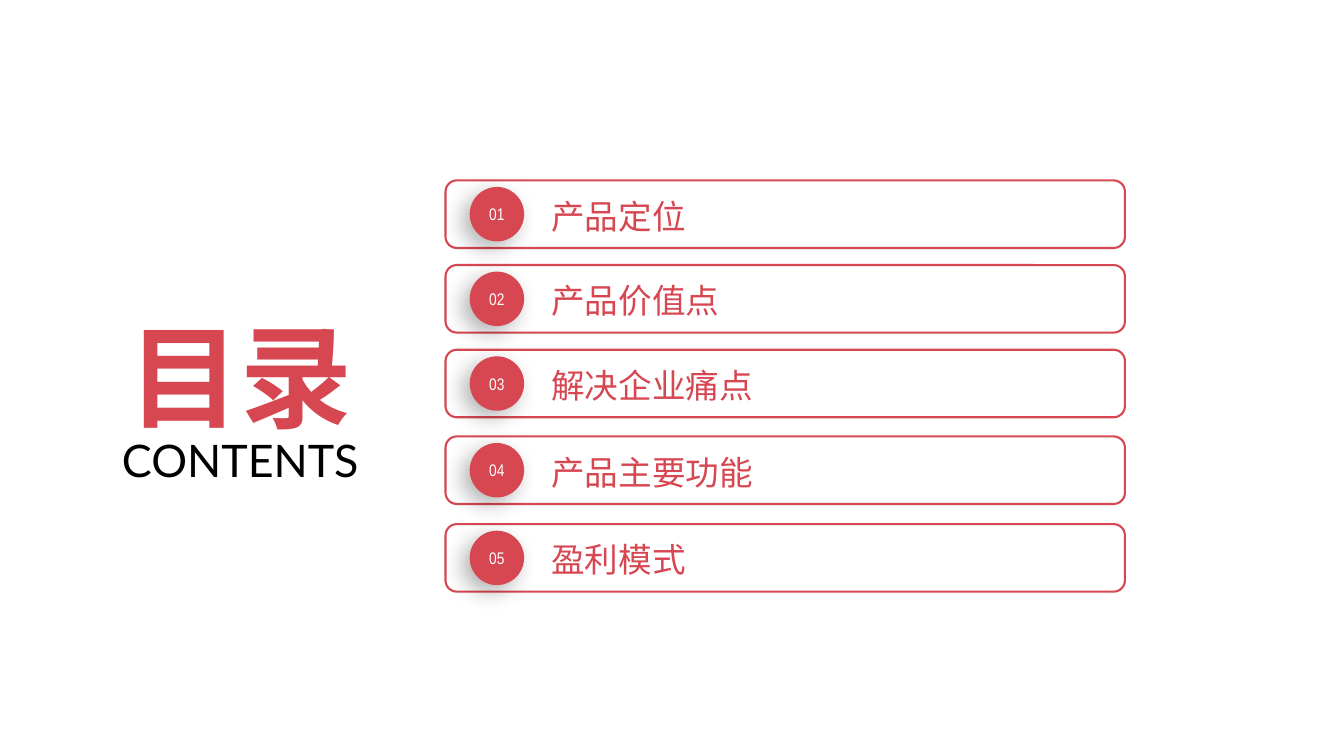
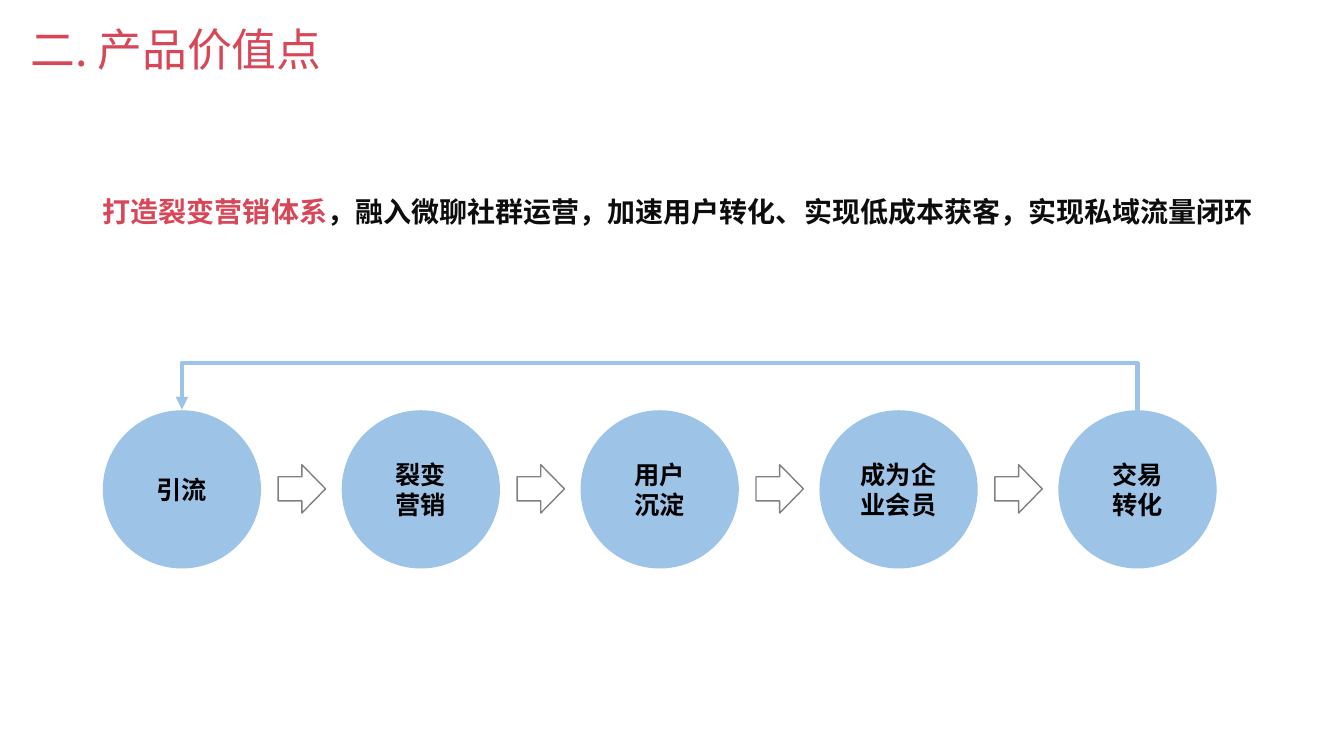
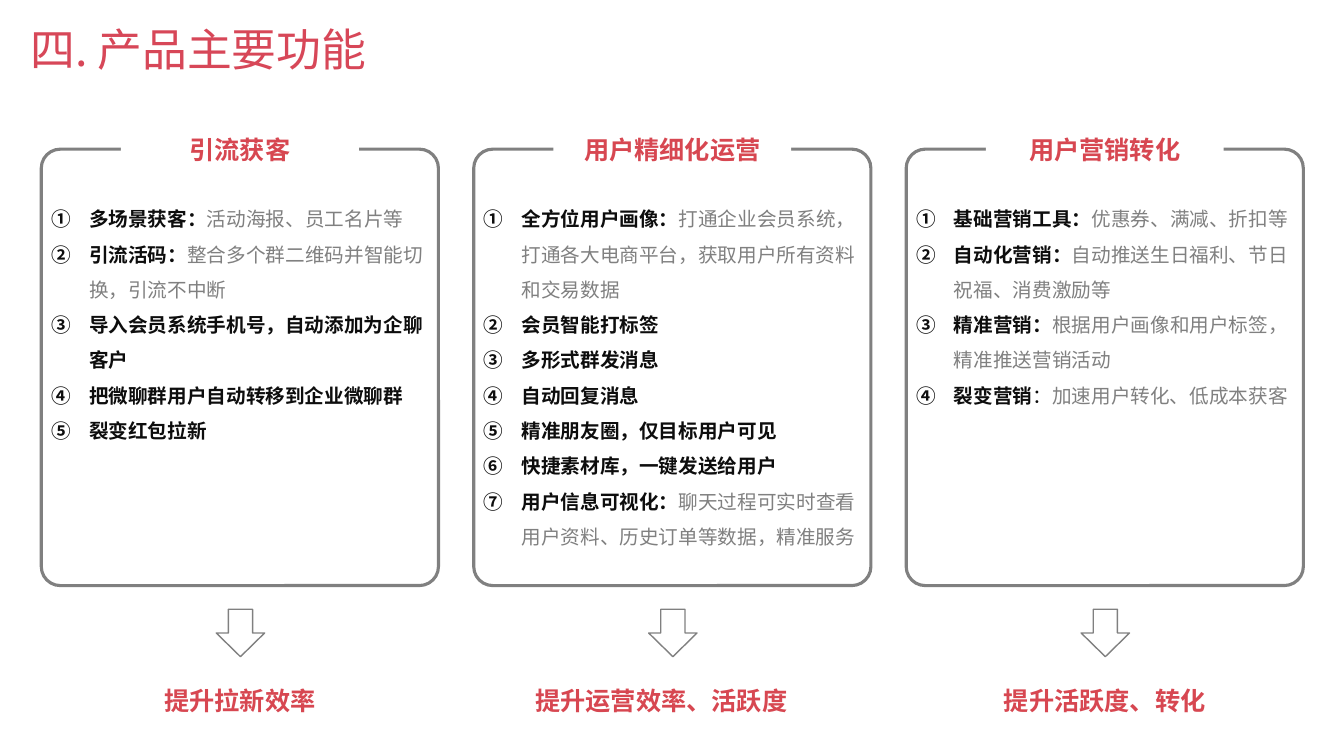
from lxml import etree
from pptx import Presentation
from pptx.dml.color import RGBColor
from pptx.enum.shapes import MSO_CONNECTOR, MSO_SHAPE
from pptx.enum.text import MSO_ANCHOR, MSO_AUTO_SIZE, PP_ALIGN
from pptx.oxml.ns import qn
from pptx.util import Inches, Pt

ROUNDED = MSO_SHAPE.ROUNDED_RECTANGLE
RECTANGLE = MSO_SHAPE.RECTANGLE
OVAL = MSO_SHAPE.OVAL
ARROW = MSO_SHAPE.RIGHT_ARROW
ELBOW = MSO_CONNECTOR.ELBOW
LEFT, CENTER = PP_ALIGN.LEFT, PP_ALIGN.CENTER
TOP, MIDDLE, BOTTOM = MSO_ANCHOR.TOP, MSO_ANCHOR.MIDDLE, MSO_ANCHOR.BOTTOM
GROW, FIXED = MSO_AUTO_SIZE.SHAPE_TO_FIT_TEXT, MSO_AUTO_SIZE.NONE

CELL = Inches(0.1)
COLUMNS, ROWS = 133.33, 75
HAN, LATIN, NARROW = "Noto Sans CJK SC", "Lato", "Arial Narrow"
RED, TITLE_RED, BLUE = "D74751", "D74758", "9DC3E6"
INK, GREY, BLACK, WHITE = "0D0D0D", "808080", "000000", "FFFFFF"
LINE_HEIGHT = 1.2


def cells(count):
    """Turn a number of grid cells into a length."""
    return round(count * CELL)


def colour_of(value):
    """Turn a hex string into a colour."""
    return RGBColor.from_string(value)


def add_xml(parent, tag, **attributes):
    """Append a drawing element and return it."""
    values = {key: str(value) for key, value in attributes.items()}
    return etree.SubElement(parent, qn(f"a:{tag}"), values)


def write(shape, text, size=18, font=HAN, colour=BLACK, bold=False, align=LEFT,
          spacing=1, anchor=TOP, autosize=FIXED, wrap=True, inset=1, numbered=False):
    """Write a string, or paragraphs of (text, changes) runs, into a shape."""
    frame = shape.text_frame
    frame.word_wrap, frame.auto_size = wrap, autosize
    frame.vertical_anchor = anchor
    frame.margin_left = cells(inset)
    if isinstance(text, str):
        text = [[(line, {})] for line in text.split("\n")]
    for index, runs in enumerate(text):
        paragraph = frame.add_paragraph() if index else frame.paragraphs[0]
        paragraph.alignment = align
        paragraph.line_spacing = Pt(size * LINE_HEIGHT * spacing)
        if numbered:
            properties = paragraph._p.get_or_add_pPr()
            properties.set("marL", str(cells(3.75)))
            properties.set("indent", str(-cells(3.75)))
            add_xml(properties, "buFont", typeface="+mj-ea")
            add_xml(properties, "buAutoNum", type="circleNumDbPlain")
        for words, changes in runs:
            run = paragraph.add_run()
            run.text = words
            run.font.size, run.font.name = Pt(size), font
            run.font.bold = changes.get("bold", bold)
            run.font.color.rgb = colour_of(changes.get("colour", colour))
            add_xml(run._r.get_or_add_rPr(), "ea", typeface=HAN)


class Deck:
    """Hold the presentation, its shared style and the current slide."""

    def __init__(self):
        """Start an empty presentation of the grid's size."""
        self.presentation = Presentation()
        self.presentation.slide_width = cells(COLUMNS)
        self.presentation.slide_height = cells(ROWS)
        self.slide = None

    def add_slide(self, title=None):
        """Start a blank slide, with the shared title if one is given."""
        self.slide = self.presentation.slides.add_slide(self.presentation.slide_layouts[6])
        if title:
            self.text(0, 0.1, COLUMNS, 7.9, title, size=32, colour=TITLE_RED,
                      anchor=BOTTOM, inset=3)

    def text(self, left, top, width, height, text, **style):
        """Add a text box."""
        box = self.slide.shapes.add_textbox(*map(cells, (left, top, width, height)))
        write(box, text, **style)

    def shape(self, kind, left, top, width, height, fill=None, line=None, weight=1, corner=None):
        """Add a preset shape and return it."""
        shape = self.slide.shapes.add_shape(kind, *map(cells, (left, top, width, height)))
        shape.shadow.inherit = False
        if corner is not None:
            shape.adjustments[0] = corner
        if fill:
            shape.fill.solid()
            shape.fill.fore_color.rgb = colour_of(fill)
        else:
            shape.fill.background()
        if line:
            shape.line.color.rgb = colour_of(line)
            shape.line.width = Pt(weight)
        else:
            shape.line.fill.background()
        return shape

    def arrow(self, left, top, rotation=0):
        """Add an outlined block arrow."""
        self.shape(ARROW, left, top, 4.7, 4.8, line=GREY).rotation = rotation

    def badge(self, left, top, label):
        """Add a numbered disc with a soft shadow."""
        disc = self.shape(OVAL, left, top, 5.4, 5.4, fill=RED)
        write(disc, label, size=12, font=NARROW, colour=WHITE, align=CENTER, anchor=MIDDLE)
        effects = disc._element.spPr.find(qn("a:effectLst"))
        shadow = add_xml(effects, "outerShdw", blurRad=Pt(16), dist=Pt(7),
                         dir=135 * 60000, algn="tr", rotWithShape=0)
        add_xml(add_xml(shadow, "srgbClr", val=BLACK), "alpha", val=30000)

    def return_path(self, start, end, top, rise, drop=0.14):
        """Add an elbow arrow that rises, runs back and comes down."""
        middle, half = (start + end) / 2, (start - end) / 2
        connector = self.slide.shapes.add_connector(
            ELBOW, cells(middle - drop / 2), cells(top + half),
            cells(middle + drop / 2), cells(top - half))
        connector.line.color.rgb = colour_of(BLUE)
        connector.line.width = Pt(3)
        properties = connector._element.spPr
        properties.find(qn("a:xfrm")).set("rot", str(270 * 60000))
        guides = properties.find(qn("a:prstGeom")).find(qn("a:avLst"))
        add_xml(guides, "gd", name="adj1", fmla=f"val {round(rise / drop * 100000)}")
        add_xml(properties.find(qn("a:ln")), "tailEnd", type="triangle")
        add_xml(properties, "effectLst")


def contents(deck):
    """Build the contents slide."""
    deck.add_slide()
    deck.text(11.4, 30, 24.9, 14.5, "目录", size=80, colour=RED, bold=True,
              align=CENTER, autosize=GROW)
    deck.text(10.2, 41.4, 27.3, 7.5, "CONTENTS", size=32, font=LATIN, align=CENTER,
              spacing=1.2, autosize=GROW)
    chapters = [(17.9, "产品定位"), (26.3, "产品价值点"), (34.7, "解决企业痛点"),
                (43.3, "产品主要功能"), (52, "盈利模式")]
    for number, (top, name) in enumerate(chapters, 1):
        deck.shape(ROUNDED, 44.2, top, 67.4, 6.7, line=RED, weight=1.5)
        deck.text(53.7, top + 1, 3.35 * len(name) + 2, 5, name, size=24, font=LATIN,
                  colour=RED, autosize=GROW, wrap=False)
        deck.badge(46.6, top + 0.65, f"{number:02}")


def value_points(deck):
    """Build the slide with the marketing loop."""
    deck.add_slide("二. 产品价值点")
    banner = deck.shape(ROUNDED, 9, 13.4, 120.4, 13.4, corner=0.056)
    write(banner, [[("打造裂变营销体系", {"colour": TITLE_RED}),
                    ("，融入微聊社群运营，加速用户转化、实现低成本获客，实现私域流量闭环", {})]],
          size=20, colour=INK, bold=True, spacing=1.5, anchor=MIDDLE)
    steps = ["引流", "裂变\n营销", "用户\n沉淀", "成为企业会员", "交易\n转化"]
    first, top, diameter, pitch = 10.2, 40.7, 15.7, 23.7
    for index, step in enumerate(steps):
        left = first + index * pitch
        disc = deck.shape(OVAL, left, top, diameter, diameter, fill=BLUE)
        write(disc, step, bold=True, align=CENTER, anchor=MIDDLE)
        if index:
            deck.arrow(left - 6.3, 46.1)
    start = first + diameter / 2
    deck.return_path(start + pitch * (len(steps) - 1), start, top, 4.7)


def functions(deck):
    """Build the slide with the three function panels."""
    deck.add_slide("四. 产品主要功能")
    strong, plain, detail = {"bold": True}, {}, {"colour": GREY}
    formats = {1: [strong], 2: [strong, detail], 3: [strong, plain, detail]}
    panels = [
        ("引流获客", 6, "提升拉新效率", [
            ("多场景获客：", "活动海报、员工名片等"),
            ("引流活码：", "整合多个群二维码并智能切换，引流不中断"),
            ("导入会员系统手机号，自动添加为企聊客户",),
            ("把微聊群用户自动转移到企业微聊群",),
            ("裂变红包拉新",)]),
        ("用户精细化运营", 47.8, "提升运营效率、活跃度", [
            ("全方位用户画像：", "打通企业会员系统，打通各大电商平台，获取用户所有资料和交易数据"),
            ("会员智能打标签",),
            ("多形式群发消息",),
            ("自动回复消息",),
            ("精准朋友圈，仅目标用户可见",),
            ("快捷素材库，一键发送给用户",),
            ("用户信息可视化：", "聊天过程可实时查看用户资料、历史订单等数据，精准服务")]),
        ("用户营销转化", 91.8, "提升活跃度、转化", [
            ("基础营销工具：", "优惠券、满减、折扣等"),
            ("自动化营销：", "自动推送生日福利、节日祝福、消费激励等"),
            ("精准营销：", "根据用户画像和用户标签，精准推送营销活动"),
            ("裂变营销", "：", "加速用户转化、低成本获客")]),
    ]
    heading = {"colour": RED, "bold": True, "align": CENTER, "autosize": GROW}
    for index, (name, result_left, result, items) in enumerate(panels):
        left = 4.1 + index * 42.9
        deck.shape(ROUNDED, left, 14.8, 39.4, 43.3, line=GREY, weight=2.25, corner=0.048)
        write(deck.shape(RECTANGLE, left + 7.9, 12.8, 23.6, 4, fill=WHITE), name, **heading)
        runs = [list(zip(item, formats[len(item)])) for item in items]
        deck.text(left, 18.9, 39.4, 36.4, runs, size=14, colour=INK, spacing=1.5,
                  autosize=GROW, numbered=True)
        deck.arrow(left + 17.4, 60.4, rotation=90)
        deck.text(result_left, 67.5, 35.6, 4, result, **heading)


deck = Deck()
contents(deck)
value_points(deck)
functions(deck)
deck.presentation.save("out.pptx")
